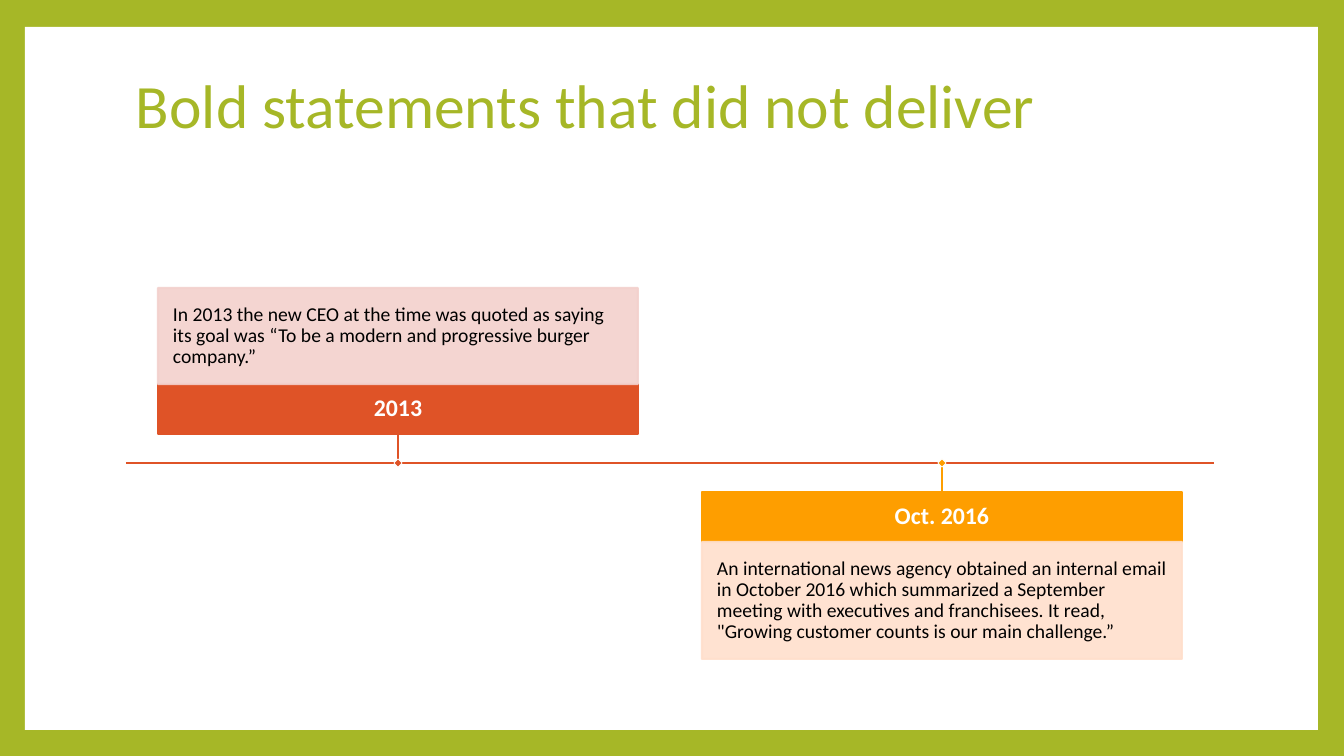
from dataclasses import dataclass

from lxml import etree
from pptx import Presentation
from pptx.dml.color import RGBColor
from pptx.enum.shapes import MSO_CONNECTOR, MSO_SHAPE
from pptx.enum.text import MSO_ANCHOR, PP_ALIGN
from pptx.oxml.ns import qn
from pptx.util import Pt

EMU_PER_PIXEL = 12192000 / 1344
RECTANGLE, STRAIGHT = MSO_SHAPE.RECTANGLE, MSO_CONNECTOR.STRAIGHT
LEFT, CENTER = PP_ALIGN.LEFT, PP_ALIGN.CENTER
TOP, MIDDLE = MSO_ANCHOR.TOP, MSO_ANCHOR.MIDDLE


@dataclass(frozen=True)
class Theme:
    font: str = "Calibri"
    green: str = "A6B727"
    white: str = "FFFFFF"
    black: str = "000000"
    red: str = "DF5327"
    pale_red: str = "F3D1CD"
    orange: str = "FE9E00"
    pale_orange: str = "FFDFCC"
    title_size: float = 44
    date_size: float = 17
    quote_size: float = 14
    border: float = 1.5
    stem: float = 0.79
    marker: float = 0.5


THEME = Theme()

# date, quote, strong colour, pale colour, quote height, side of the axis
EVENTS = [
    ("2013",
     "In 2013 the new CEO at the time was quoted as saying its goal was "
     "“To be a modern and progressive burger company.”",
     THEME.red, THEME.pale_red, 96, "above"),
    ("Oct. 2016",
     "An international news agency obtained an internal email in October 2016 "
     "which summarized a September meeting with executives and franchisees. "
     "It read, \"Growing customer counts is our main challenge.”",
     THEME.orange, THEME.pale_orange, 117, "below"),
]


def px(value):
    return round(value * EMU_PER_PIXEL)


def rgb(value):
    return RGBColor.from_string(value)


def add_box(page, left, top, width, height, fill, line=None, weight=THEME.border):
    box = page.shapes.add_shape(RECTANGLE, px(left), px(top), px(width), px(height))
    box.shadow.inherit = False
    box.fill.solid()
    box.fill.fore_color.rgb = rgb(fill)
    if line:
        box.line.color.rgb = rgb(line)
        box.line.width = Pt(weight)
    else:
        box.line.fill.background()
    return box


def add_line(page, start, end, colour, weight):
    line = page.shapes.add_connector(STRAIGHT, *map(px, start + end))
    line.line.color.rgb = rgb(colour)
    line.line.width = Pt(weight)
    etree.SubElement(line.element.spPr, qn("a:effectLst"))


def set_text(box, text, size, colour, align, anchor, margins, bold=False):
    frame = box.text_frame
    frame.word_wrap = True
    frame.vertical_anchor = anchor
    frame.margin_left = frame.margin_right = px(margins[0])
    frame.margin_top = frame.margin_bottom = px(margins[1])
    para = frame.paragraphs[0]
    para.text = text
    para.alignment = align
    para.line_spacing = 0.9
    para.font.name = THEME.font
    para.font.size = Pt(size)
    para.font.bold = bold
    para.font.color.rgb = rgb(colour)


def make_translucent(box, percent):
    for colour in box.element.spPr.iter(qn("a:srgbClr")):
        etree.SubElement(colour, qn("a:alpha"), val=str(percent * 1000))


def add_frame(page, left, top, width, height):
    """Green surround with a white panel behind the title."""
    page.background.fill.solid()
    page.background.fill.fore_color.rgb = rgb(THEME.green)
    panel = add_box(page, left, top, width, height, THEME.white)
    page.shapes.title.element.addprevious(panel.element)


def add_title(page, left, top, width, height, text):
    title = page.shapes.title
    title.left, title.top, title.width, title.height = map(px, (left, top, width, height))
    set_text(title, text, THEME.title_size, THEME.green, LEFT, TOP, (10, 7))


def add_event(page, center, axis, event):
    """Date bar, quote and stem on one side of the axis."""
    date, quote, strong, pale, quote_height, side = event
    width, date_height, stem = 480, 50, 29
    left = center - width / 2
    if side == "above":
        stem_end = axis - stem
        date_top = stem_end - date_height
        quote_top = date_top - quote_height
    else:
        stem_end = date_top = axis + stem
        quote_top = date_top + date_height

    date_bar = add_box(page, left, date_top, width, date_height, strong, strong)
    set_text(date_bar, date, THEME.date_size, THEME.white, CENTER, MIDDLE, (9, 9), True)
    quote_box = add_box(page, left, quote_top, width, quote_height, pale, pale)
    make_translucent(quote_box, 90)
    set_text(quote_box, quote, THEME.quote_size, THEME.black, LEFT, MIDDLE, (15, 15))
    add_line(page, (center, axis), (center, stem_end), strong, THEME.stem)


def add_timeline(page, left, axis, width, events):
    add_line(page, (left, axis), (left + width, axis), THEME.red, THEME.border)
    slot = width / len(events)
    centers = [left + slot * (index + 0.5) for index in range(len(events))]
    for center, event in zip(centers, events):
        add_event(page, center, axis, event)

    # Diamond markers sit on top of the axis and stems
    side = 6
    for center, event in zip(centers, events):
        marker = add_box(page, center - side / 2, axis - side / 2, side, side,
                         event[2], THEME.white, THEME.marker)
        marker.rotation = 45


deck = Presentation()
deck.slide_width, deck.slide_height = px(1344), px(756)
page = deck.slides.add_slide(deck.slide_layouts[5])
add_frame(page, 25, 27, 1293, 703)
add_title(page, 126, 68, 1088, 149, "Bold statements that did not deliver")
add_timeline(page, 126, 463, 1088, EVENTS)
deck.save("out.pptx")
